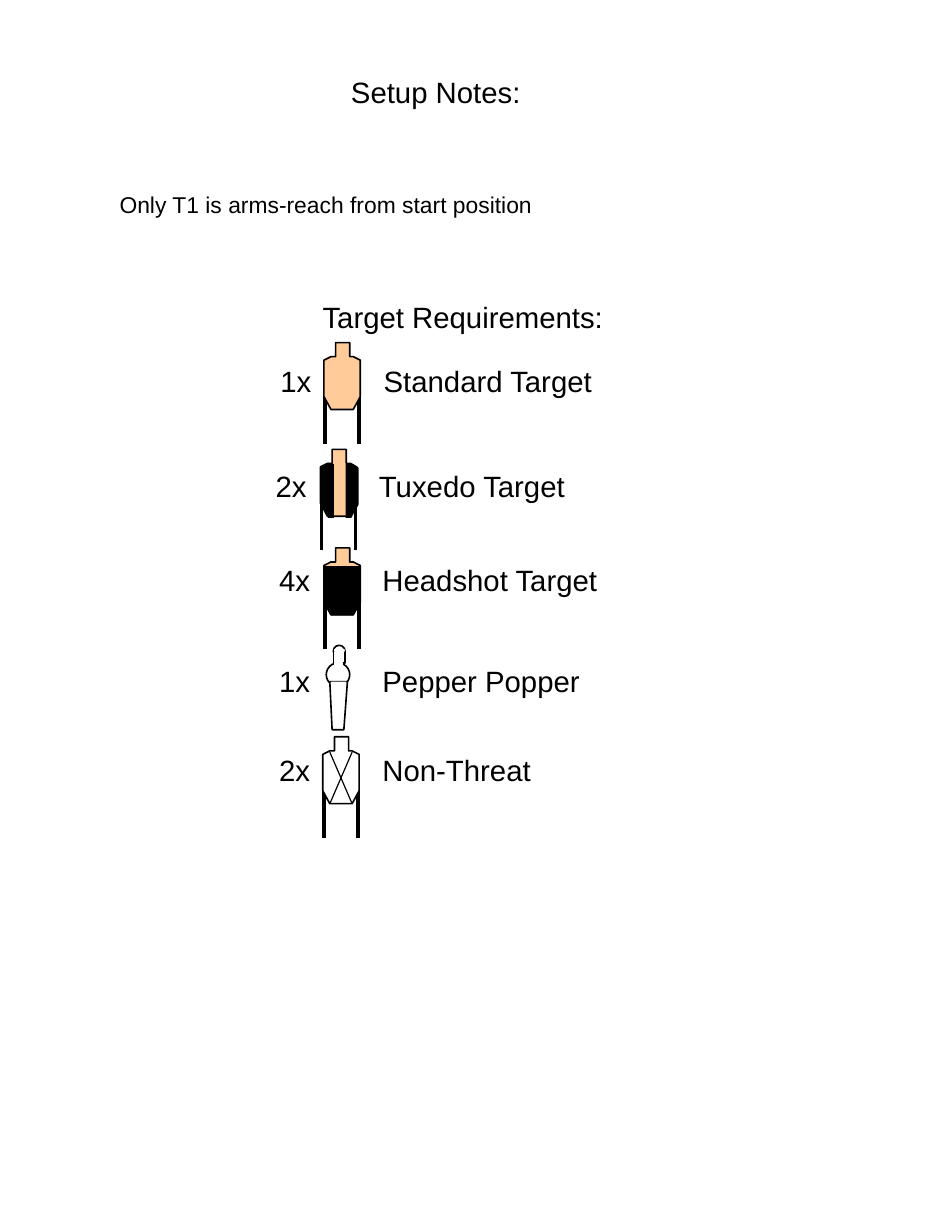
"""Build the setup notes page with its list of required shooting targets."""
from dataclasses import dataclass

import pptx
import pptx.dml.color
import pptx.enum.shapes
import pptx.enum.text
import pptx.oxml.ns
import pptx.util
from lxml import etree

Inches = pptx.util.Inches
Shape = pptx.enum.shapes.MSO_SHAPE


@dataclass(frozen=True)
class Theme:
    font: str = "Arial"
    heading: int = 18
    note: int = 14
    ink: str = "000000"
    paper: str = "FFFFFF"
    tan: str = "FFCC99"
    leg: float = 2.25
    outline: float = 1
    cross: float = 0.75


THEME = Theme()

TITLE = ("Setup Notes:", (2.89, 0.58, 1.66, 0.4))
NOTE = ("Only T1 is arms-reach from start position", (0.92, 1.58, 6.17, 0.34))
HEADING = ("Target Requirements:", (2.65, 2.5, 2.7, 0.4))
NAME_TAB = 0.88

TARGETS = [
    {"count": "1x", "name": "Standard Target", "label": (2.29, 3.05, 2.89, 0.4),
     "kind": "standard", "origin": (2.76, 2.92)},
    {"count": "2x", "name": "Tuxedo Target", "label": (2.25, 3.94, 2.69, 0.4),
     "kind": "tuxedo", "origin": (2.73, 3.83)},
    {"count": "4x", "name": "Headshot Target", "label": (2.28, 4.74, 2.95, 0.4),
     "kind": "headshot", "origin": (2.76, 4.67)},
    {"count": "1x", "name": "Pepper Popper", "label": (2.28, 5.6, 2.8, 0.4),
     "kind": "popper", "origin": (2.78, 5.5)},
    {"count": "2x", "name": "Non-Threat", "label": (2.28, 6.36, 2.38, 0.4),
     "kind": "non-threat", "origin": (2.75, 6.28)},
]

SILHOUETTE = [(0.1, 0), (0.22, 0), (0.22, 0.12), (0.25, 0.12), (0.31, 0.15), (0.31, 0.46),
              (0.25, 0.57), (0.06, 0.57), (0, 0.46), (0, 0.15), (0.06, 0.12), (0.1, 0.12)]
LEGS = [((x, 0.42), (x, 0.86)) for x in (0.01, 0.3)]
CROSS = [((0.25, 0.13), (0.06, 0.57)), ((0.06, 0.13), (0.25, 0.57))]
JACKET = [(0.22, 0.13), (0.22, 0.58), (0.26, 0.58), (0.32, 0.47), (0.32, 0.16), (0.26, 0.12)]
OVERLAYS = {
    "tuxedo": [JACKET, [(0.33 - x, y) for x, y in JACKET]],
    "headshot": [[(0, 0.16), (0.31, 0.16), (0.31, 0.46), (0.25, 0.57), (0.06, 0.57), (0, 0.46)]],
}
POPPER_CIRCLES = [(0.06, 0, 0.1, 0.1), (0, 0.15, 0.2, 0.2)]
POPPER_STEM = [(0.03, 0.31), (0.18, 0.31), (0.15, 0.72), (0.05, 0.72)]
POPPER_PATCHES = [
    ((0.06, 0.05, 0.1, 0.1), THEME.ink),
    ((0.04, 0.31, 0.13, 0.02), None),
    ((0.07, 0.15, 0.07, 0.02), THEME.paper),
    ((0.07, 0.04, 0.08, 0.01), THEME.paper),
]


def color(value):
    return pptx.dml.color.RGBColor.from_string(value)


def paint(shape, fill, line, width=THEME.outline):
    shape.shadow.inherit = False
    shape.fill.solid()
    shape.fill.fore_color.rgb = color(fill)
    if line is None:
        shape.line.fill.background()
    else:
        shape.line.color.rgb = color(line)
        shape.line.width = pptx.util.Pt(width)


def write(box, text, area, size, wrap=False, tab=None):
    box.left, box.top, box.width, box.height = map(Inches, area)
    frame = box.text_frame
    frame.auto_size = pptx.enum.text.MSO_AUTO_SIZE.SHAPE_TO_FIT_TEXT
    frame.word_wrap = wrap
    frame.vertical_anchor = pptx.enum.text.MSO_ANCHOR.TOP
    frame.margin_left = frame.margin_right = Inches(0.1)
    frame.margin_top = frame.margin_bottom = Inches(0.05)
    para = frame.paragraphs[0]
    para.text = text
    para.alignment = pptx.enum.text.PP_ALIGN.LEFT
    if tab:
        qn = pptx.oxml.ns.qn
        stops = etree.SubElement(para._p.get_or_add_pPr(), qn("a:tabLst"))
        etree.SubElement(stops, qn("a:tab"), pos=str(Inches(tab)), algn="l")
    para.font.name = THEME.font
    para.font.size = pptx.util.Pt(size)
    para.font.color.rgb = color(THEME.ink)


def add_text(page, text, area, size, **options):
    write(page.shapes.add_textbox(0, 0, 0, 0), text, area, size, **options)


def add_outline(page, origin, points, fill, width=THEME.outline):
    corners = [(Inches(origin[0] + x), Inches(origin[1] + y)) for x, y in points]
    builder = page.shapes.build_freeform(*corners[0])
    builder.add_line_segments(corners[1:], close=True)
    paint(builder.convert_to_shape(), fill, THEME.ink, width)


def add_lines(page, origin, lines, width):
    for ends in lines:
        spots = [Inches(start + shift) for end in ends for start, shift in zip(origin, end)]
        line = page.shapes.add_connector(pptx.enum.shapes.MSO_CONNECTOR.STRAIGHT, *spots)
        line.line.color.rgb = color(THEME.ink)
        line.line.width = pptx.util.Pt(width)
        etree.SubElement(line._element.spPr, pptx.oxml.ns.qn("a:effectLst"))


def add_preset(page, origin, preset, area, line):
    x, y, width, height = area
    spot = (origin[0] + x, origin[1] + y, width, height)
    paint(page.shapes.add_shape(preset, *map(Inches, spot)), THEME.paper, line)


def draw_popper(page, origin):
    for area in POPPER_CIRCLES:
        add_preset(page, origin, Shape.OVAL, area, THEME.ink)
    add_outline(page, origin, POPPER_STEM, THEME.paper)
    for area, line in POPPER_PATCHES:
        add_preset(page, origin, Shape.RECTANGLE, area, line)


def draw_silhouette(page, origin, kind):
    add_lines(page, origin, LEGS, THEME.leg)
    add_outline(page, origin, SILHOUETTE, THEME.paper if kind == "non-threat" else THEME.tan)
    for points in OVERLAYS.get(kind, []):
        add_outline(page, origin, points, THEME.ink, width=0)
    if kind == "non-threat":
        add_lines(page, origin, CROSS, THEME.cross)


def main():
    deck = pptx.Presentation()
    deck.slide_width, deck.slide_height = Inches(8), Inches(10.5)
    page = deck.slides.add_slide(deck.slide_layouts[5])
    write(page.shapes.title, *TITLE, THEME.heading)
    add_text(page, *NOTE, THEME.note, wrap=True)
    add_text(page, *HEADING, THEME.heading)
    for target in TARGETS:
        label = f"{target['count']}\t{target['name']}"
        add_text(page, label, target["label"], THEME.heading, tab=NAME_TAB)
        if target["kind"] == "popper":
            draw_popper(page, target["origin"])
        else:
            draw_silhouette(page, target["origin"], target["kind"])
    deck.save("out.pptx")


if __name__ == "__main__":
    main()
